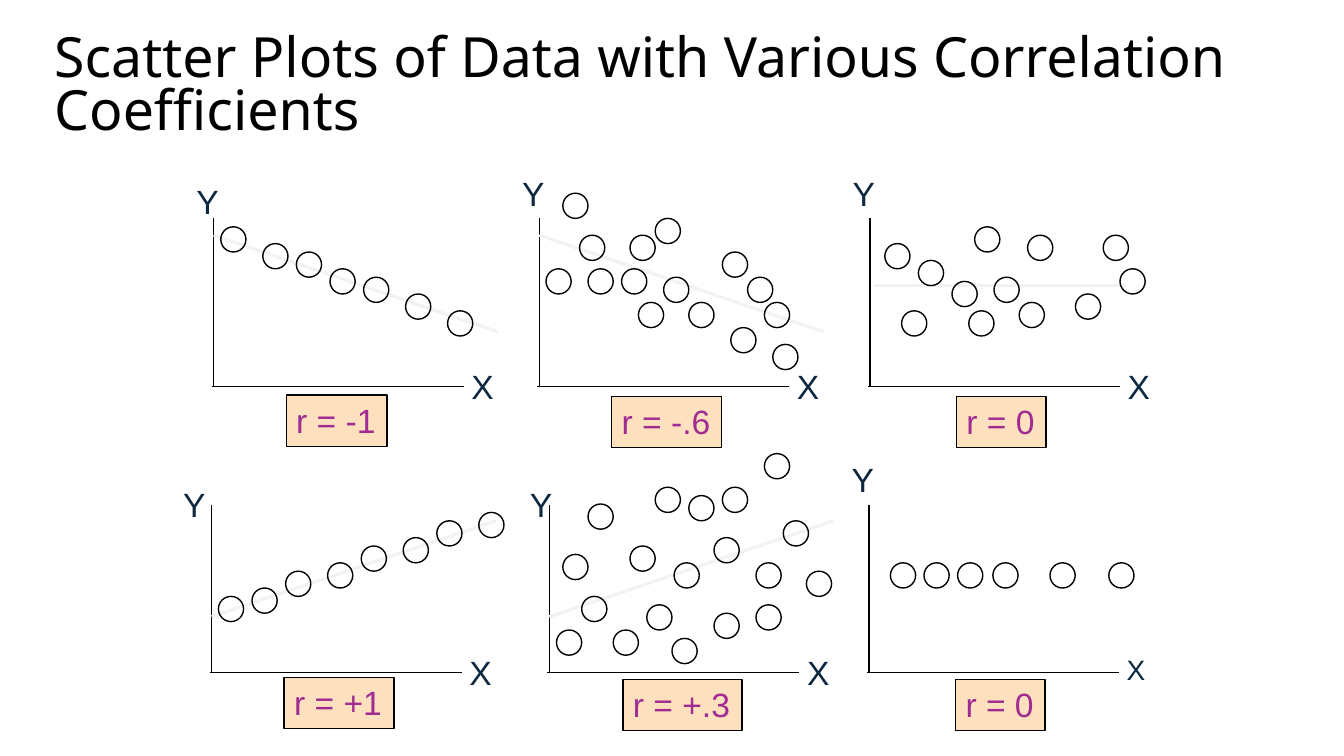
import pptx
import pptx.dml.color
import pptx.enum.shapes
import pptx.enum.text
import pptx.oxml.ns
import pptx.util
from dataclasses import dataclass
from lxml import etree

Pt = pptx.util.Pt
STEP = 6
AXIS = 120


@dataclass(frozen=True)
class Theme:
    black: str = "000000"
    navy: str = "0E2841"
    plum: str = "A02B93"
    peach: str = "FDE0BD"
    pale: str = "F2F2F2"
    head: str = "Noto Sans"
    body: str = "Arial"
    title: float = 39.6
    label: float = 24
    small: float = 20
    thin: float = 1
    trend: float = 2.25


THEME = Theme()

PANELS = [
    dict(x=152.6, base=276, trend=(0, 168, 203, 237), y=(-19.4, 126),
         tag=("r = -1", 204.5, 282.2, 72), start=157.7,
         dots=[(0, 27), (5, 29), (9, 30), (13, 32), (17, 33), (22, 35), (27, 37)]),
    dict(x=385.2, base=276, trend=(0, 168, 203, 237), y=(-19.4, 120),
         tag=("r = -.6", 437, 283, 78.5), start=390,
         dots=[(0, 32), (2, 23), (4, 28), (5, 32), (9, 32), (10, 28), (11, 36),
               (13, 26), (14, 33), (17, 36), (21, 30), (22, 39), (24, 33),
               (26, 36), (27, 41)]),
    dict(x=621.4, base=276, trend=(2.8, 204, 182.8, 204), y=(-19.4, 120),
         tag=("r = 0", 683.3, 283, 64), start=632,
         dots=[(0, 29), (2, 37), (4, 31), (8, 33.5), (10, 37), (10.7, 27),
               (13, 33), (16, 36), (17, 28), (22.7, 35), (26, 28), (28, 32)]),
    dict(x=151.2, base=480.4, trend=(0, 440.6, 203, 372), y=(-27.4, 342),
         tag=("r = +1", 203, 483.8, 78.5), start=156,
         dots=[(0, 71), (4, 70), (8, 68), (13, 67), (17, 65), (22, 64),
               (26, 62), (31, 61)]),
    dict(x=392.4, base=480.4, trend=(0, 440.6, 203, 372), y=(-20.9, 342),
         tag=("r = +.3", 445, 485.3, 85), start=390,
         dots=[(1.25, 75), (2, 66), (4.25, 71), (5, 60), (8, 75), (10, 65),
               (12, 72), (13, 58), (15, 76), (15.25, 67), (17, 59), (20, 64),
               (20, 73), (21, 58), (25, 67), (25, 72), (26, 54), (28.25, 62),
               (31, 68)]),
    dict(x=620.6, base=480.4, trend=None, y=(-19.4, 324),
         tag=("r = 0", 682.6, 485.3, 64), start=636, small=True,
         dots=[(0, 67), (4, 67), (8, 67), (12.2, 67), (19, 67), (26, 67)]),
]


def tint(text):
    return pptx.dml.color.RGBColor.from_string(text)


def put(item, **vals):
    for name, val in vals.items():
        setattr(item, name, val)


def write(shape, text, size, font, color, wrap=False, gap=None, anchor="TOP"):
    frame = shape.text_frame
    put(frame, word_wrap=wrap,
        vertical_anchor=getattr(pptx.enum.text.MSO_ANCHOR, anchor))
    para = frame.paragraphs[0]
    put(para, alignment=pptx.enum.text.PP_ALIGN.LEFT, line_spacing=gap)
    run = para.add_run()
    run.text = text
    put(run.font, name=font, size=Pt(size))
    run.font.color.rgb = tint(color)


def label(slide, box, text, size, font, color, **look):
    shape = slide.shapes.add_textbox(*map(Pt, box))
    write(shape, text, size, font, color, **look)


def line(slide, ends, color, width):
    kind = pptx.enum.shapes.MSO_CONNECTOR.STRAIGHT
    link = slide.shapes.add_connector(kind, *map(Pt, ends))
    link.line.color.rgb = tint(color)
    link.line.width = Pt(width)
    props = link._element.spPr
    etree.SubElement(props, pptx.oxml.ns.qn("a:effectLst"))


def block(slide, kind, box, fill=None):
    form = getattr(pptx.enum.shapes.MSO_SHAPE, kind)
    shape = slide.shapes.add_shape(form, *map(Pt, box))
    shape.shadow.inherit = False
    if fill:
        shape.fill.solid()
        shape.fill.fore_color.rgb = tint(fill)
    else:
        shape.fill.background()
    shape.line.color.rgb = tint(THEME.black)
    shape.line.width = Pt(THEME.thin)
    return shape


def plot(slide, panel):
    x, base = panel["x"], panel["base"]
    line(slide, (x, base - AXIS, x, base), THEME.black, THEME.thin)
    line(slide, (x - 1.4, base, x + 178.6, base), THEME.black, THEME.thin)
    if panel["trend"]:
        x1, y1, x2, y2 = panel["trend"]
        line(slide, (x + x1, y1, x + x2, y2), THEME.pale, THEME.trend)
    for col, row in panel["dots"]:
        block(slide, "OVAL", (panel["start"] + col * STEP, row * STEP, 18, 18))
    shift, top = panel["y"]
    label(slide, (x + shift, top, 30, 36), "Y", THEME.label, THEME.body, THEME.navy)
    size = THEME.small if panel.get("small") else THEME.label
    label(slide, (x + 177, base - 18, 30, 36), "X", size, THEME.body, THEME.navy)
    text, left, top, width = panel["tag"]
    tag = block(slide, "RECTANGLE", (left, top, width, 36.7), THEME.peach)
    write(tag, text, THEME.label, THEME.body, THEME.plum)


def main():
    deck = pptx.Presentation()
    put(deck, slide_width=Pt(960), slide_height=Pt(540))
    slide = deck.slides.add_slide(deck.slide_layouts[6])
    label(slide, (31.7, 18, 928, 90),
          "Scatter Plots of Data with Various Correlation Coefficients",
          THEME.title, THEME.head, THEME.black, wrap=True, gap=0.8, anchor="MIDDLE")
    for panel in PANELS:
        plot(slide, panel)
    deck.save("out.pptx")


if __name__ == "__main__":
    main()
